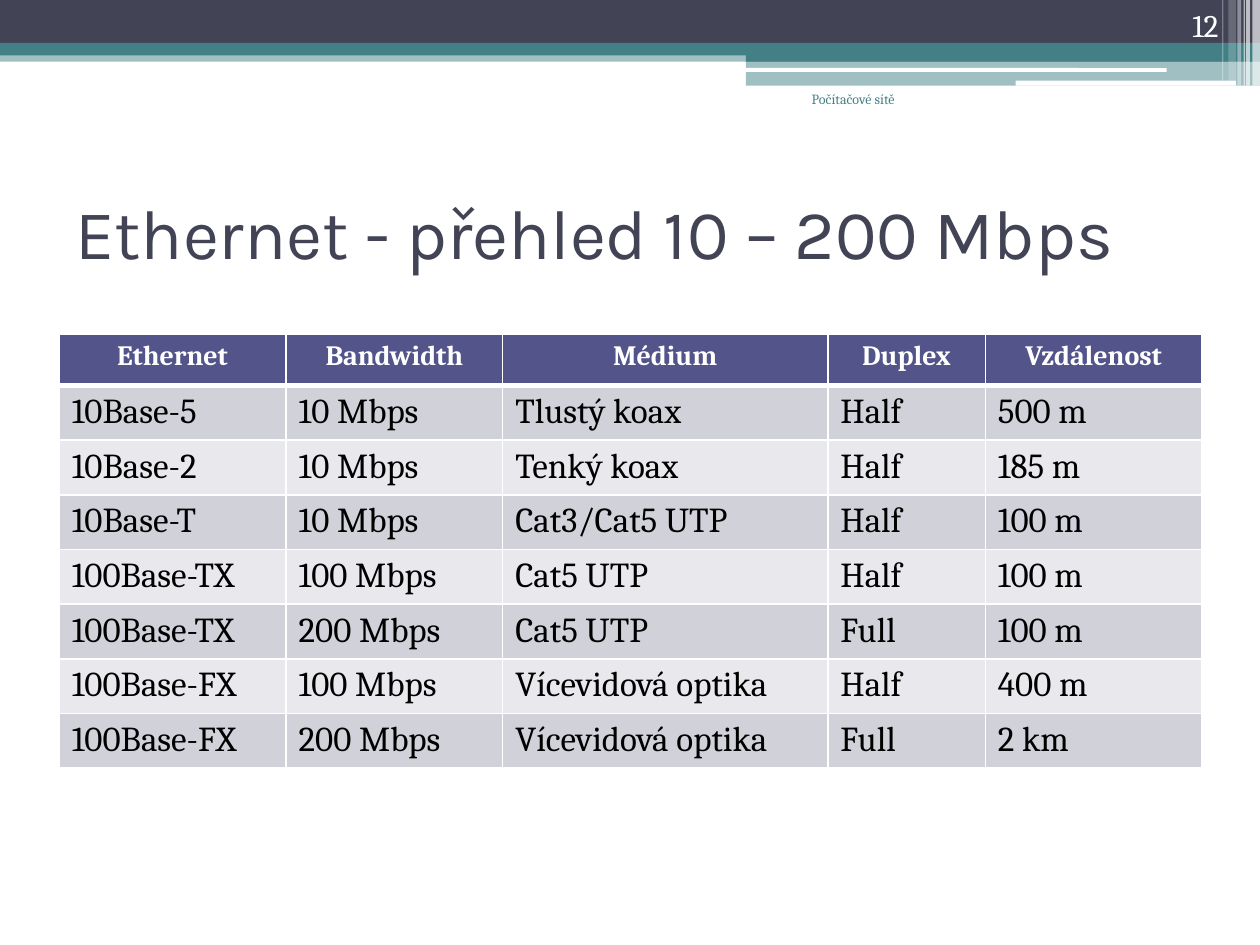
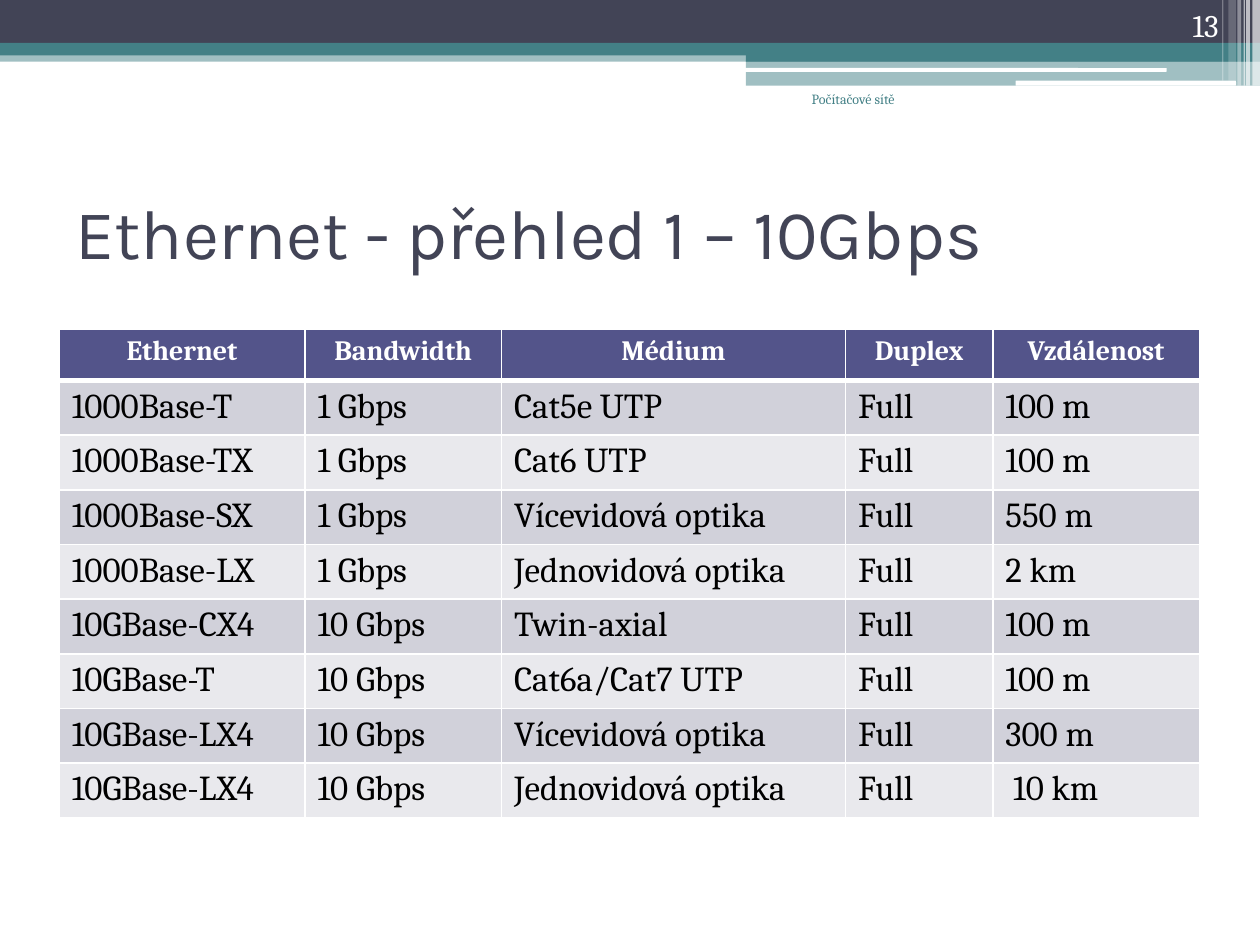
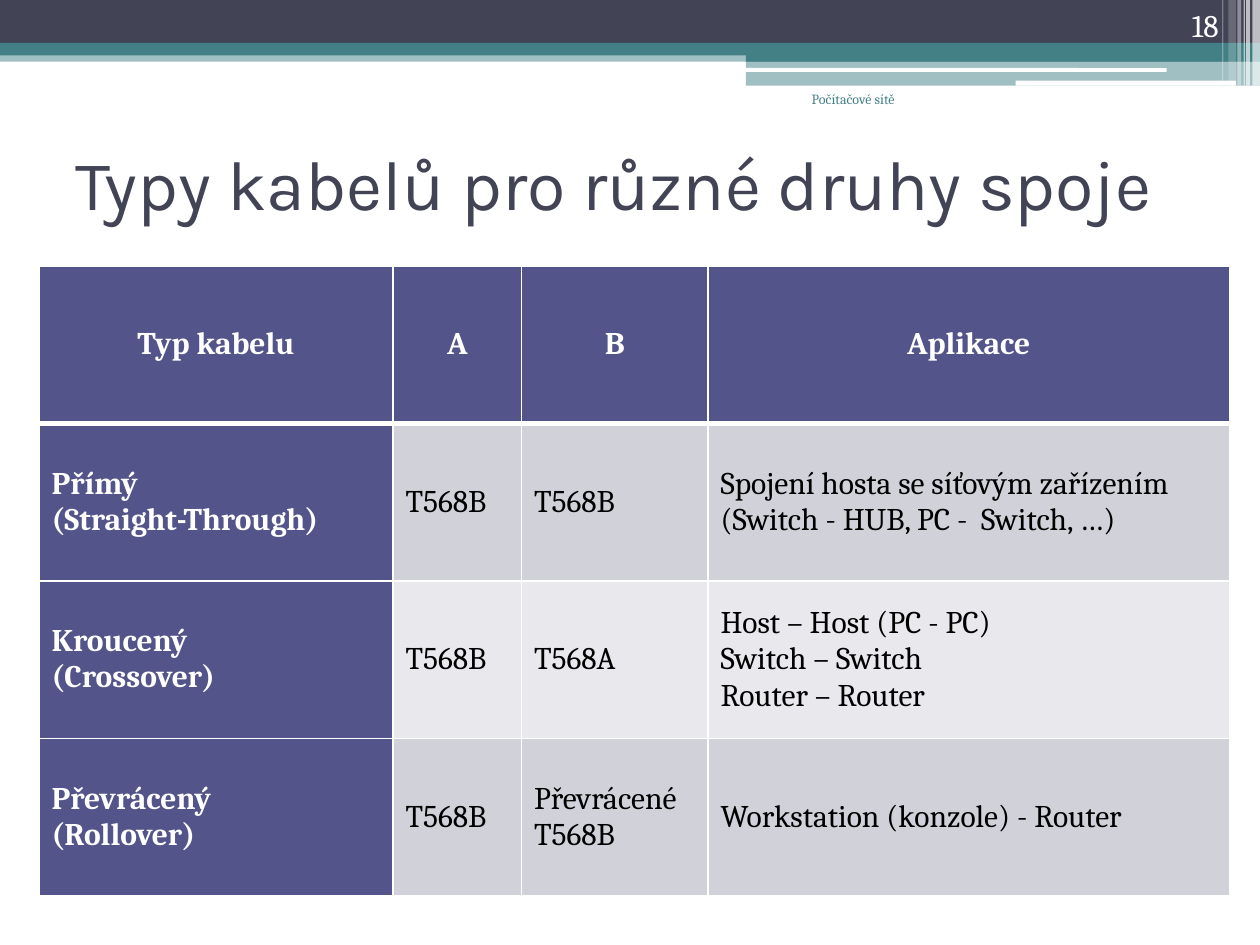
from lxml.etree import SubElement
from pptx import Presentation
from pptx.dml.color import RGBColor
from pptx.enum.shapes import MSO_SHAPE
from pptx.enum.text import MSO_ANCHOR as ANCHOR, PP_ALIGN as ALIGN
from pptx.oxml.ns import qn
from pptx.util import Pt

PX = 9144  # one px is a hundredth of an inch
COLORS = {
    "dark": "424456", "teal": "438086", "white": "FFFFFF", "black": "000000",
    "header": "53548A", "odd": "D1D1DA", "even": "E9E9ED",
}
BODY_FONT, TITLE_FONT = "Cambria", "Karla"

# Bands at the top: left, top, width, height, colour, opacity in percent
BANDS = [
    (0, 40, 1000, 9, "teal", 50),
    (0, 0, 1000, 34, "dark", 100),
    (0, 34, 1000, 10, "teal", 100),
    (592, 39, 408, 10, "teal", 100),
    (592, 48, 408, 20, "teal", 50),
    (994, 0, 6, 68, "white", 65),
    (989, 0, 3, 68, "white", 65),
    (987, 0, 1, 68, "white", 60),
    (982, 0, 3, 68, "white", 40),
    (975, 0, 6, 64, "white", 20),
    (970, 0, 1, 64, "white", 30),
]
ROUNDED_BANDS = [(591, 54, 335, 3, "white", 100), (806, 64, 175, 4, "white", 100)]

ETHERNET_HEADER = ("Ethernet", "Bandwidth", "Médium", "Duplex", "Vzdálenost")
ETHERNET_STYLE = {"row_height": 41, "header_size": 16, "body_size": 20,
                  "anchor": ANCHOR.TOP, "bold_column": False}
CABLE_STYLE = {"row_height": 125, "header_size": 18, "body_size": 18,
               "anchor": ANCHOR.MIDDLE, "bold_column": True}

SLIDES = [
    {
        "number": "12", "title": "Ethernet - přehled 10 – 200 Mbps", "title_top": 125,
        "table_at": (47, 265), "columns": (180, 172, 258, 125, 172),
        "style": ETHERNET_STYLE,
        "rows": [
            ETHERNET_HEADER,
            ("10Base-5", "10 Mbps", "Tlustý koax", "Half", "500 m"),
            ("10Base-2", "10 Mbps", "Tenký koax", "Half", "185 m"),
            ("10Base-T", "10 Mbps", "Cat3/Cat5 UTP", "Half", "100 m"),
            ("100Base-TX", "100 Mbps", "Cat5 UTP", "Half", "100 m"),
            ("100Base-TX", "200 Mbps", "Cat5 UTP", "Full", "100 m"),
            ("100Base-FX", "100 Mbps", "Vícevidová optika", "Half", "400 m"),
            ("100Base-FX", "200 Mbps", "Vícevidová optika", "Full", "2 km"),
        ],
    },
    {
        "number": "13", "title": "Ethernet - přehled 1 – 10Gbps", "title_top": 125,
        "table_at": (47, 261), "columns": (195, 156, 273, 117, 164),
        "style": ETHERNET_STYLE,
        "rows": [
            ETHERNET_HEADER,
            ("1000Base-T", "1 Gbps", "Cat5e UTP", "Full", "100 m"),
            ("1000Base-TX", "1 Gbps", "Cat6 UTP", "Full", "100 m"),
            ("1000Base-SX", "1 Gbps", "Vícevidová optika", "Full", "550 m"),
            ("1000Base-LX", "1 Gbps", "Jednovidová optika", "Full", "2 km"),
            ("10GBase-CX4", "10 Gbps", "Twin-axial", "Full", "100 m"),
            ("10GBase-T", "10 Gbps", "Cat6a/Cat7 UTP", "Full", "100 m"),
            ("10GBase-LX4", "10 Gbps", "Vícevidová optika", "Full", "300 m"),
            ("10GBase-LX4", "10 Gbps", "Jednovidová optika", "Full", " 10 km"),
        ],
    },
    {
        "number": "18", "title": "Typy kabelů pro různé druhy spoje", "title_top": 86,
        "table_at": (31, 211), "columns": (281, 102, 148, 414),
        "style": CABLE_STYLE,
        "rows": [
            ("Typ kabelu", "A", "B", "Aplikace"),
            ("Přímý\n(Straight-Through)", "T568B", "T568B",
             "Spojení hosta se síťovým zařízením (Switch - HUB, PC -  Switch, …)"),
            ("Kroucený\n(Crossover)", "T568B", "T568A",
             "Host – Host (PC - PC)\nSwitch – Switch\nRouter – Router"),
            ("Převrácený\n(Rollover)", "T568B", "Převrácené T568B",
             "Workstation (konzole) - Router"),
        ],
    },
]


def write_text(frame, text, size, color, font=BODY_FONT, align=ALIGN.LEFT, bold=False):
    frame.word_wrap = True
    frame.text = text
    for paragraph in frame.paragraphs:
        paragraph.alignment = align
        paragraph.font.name = font
        paragraph.font.size = Pt(size)
        paragraph.font.bold = bold
        paragraph.font.color.rgb = RGBColor.from_string(COLORS[color])


def add_border(cell, side, width):
    line = SubElement(cell._tc.get_or_add_tcPr(), qn(f"a:ln{side}"), w=str(Pt(width)))
    fill = SubElement(line, qn("a:solidFill"))
    SubElement(fill, qn("a:srgbClr"), val=COLORS["white"])


presentation = Presentation()
presentation.slide_width, presentation.slide_height = 1000 * PX, 750 * PX

for content in SLIDES:
    slide = presentation.slides.add_slide(presentation.slide_layouts[6])

    # Bands: the rounded white ones lie between the teal bands and the stripes
    outlines = ([(MSO_SHAPE.RECTANGLE, band) for band in BANDS[:5]]
                + [(MSO_SHAPE.ROUNDED_RECTANGLE, band) for band in ROUNDED_BANDS]
                + [(MSO_SHAPE.RECTANGLE, band) for band in BANDS[5:]])
    for outline, (left, top, width, height, color, opacity) in outlines:
        shape = slide.shapes.add_shape(outline, left * PX, top * PX, width * PX, height * PX)
        shape.shadow.inherit = False
        shape.line.fill.background()
        shape.fill.solid()
        shape.fill.fore_color.rgb = RGBColor.from_string(COLORS[color])
        if opacity < 100:
            color_element = shape._element.spPr.find(".//" + qn("a:srgbClr"))
            SubElement(color_element, qn("a:alpha"), val=str(opacity * 1000))

    # Title, footer and slide number
    title = slide.shapes.add_textbox(50 * PX, content["title_top"] * PX, 900 * PX, 117 * PX)
    title.text_frame.vertical_anchor = ANCHOR.MIDDLE
    write_text(title.text_frame, content["title"], 40, "dark", TITLE_FONT)

    footer = slide.shapes.add_textbox(575 * PX, 67 * PX, 145 * PX, 50 * PX)
    write_text(footer.text_frame, "Počítačové sítě", 8, "teal", align=ALIGN.RIGHT)

    number = slide.shapes.add_textbox(894 * PX, 0, 83 * PX, 40 * PX)
    number.text_frame.vertical_anchor = ANCHOR.BOTTOM
    write_text(number.text_frame, content["number"], 18, "white", align=ALIGN.RIGHT)

    # Table
    rows, columns, style = content["rows"], content["columns"], content["style"]
    left, top = content["table_at"]
    table = slide.shapes.add_table(
        len(rows), len(columns), left * PX, top * PX,
        sum(columns) * PX, len(rows) * style["row_height"] * PX).table
    for column, width in zip(table.columns, columns):
        column.width = width * PX

    for row_index, row in enumerate(rows):
        table.rows[row_index].height = style["row_height"] * PX
        is_header = row_index == 0
        for column_index, text in enumerate(row):
            cell = table.cell(row_index, column_index)
            cell.vertical_anchor = style["anchor"]
            strong = is_header or (style["bold_column"] and column_index == 0)
            write_text(cell.text_frame, text,
                       style["header_size"] if is_header else style["body_size"],
                       "white" if strong else "black",
                       align=ALIGN.CENTER if is_header else ALIGN.LEFT, bold=strong)
            # A thick line separates the header from the body
            for side in "LRTB":
                thick = (row_index, side) in ((0, "B"), (1, "T"))
                add_border(cell, side, 3 if thick else 1)
            band_color = "odd" if row_index % 2 else "even"
            cell.fill.solid()
            cell.fill.fore_color.rgb = RGBColor.from_string(
                COLORS["header" if strong else band_color])

presentation.save("out.pptx")
